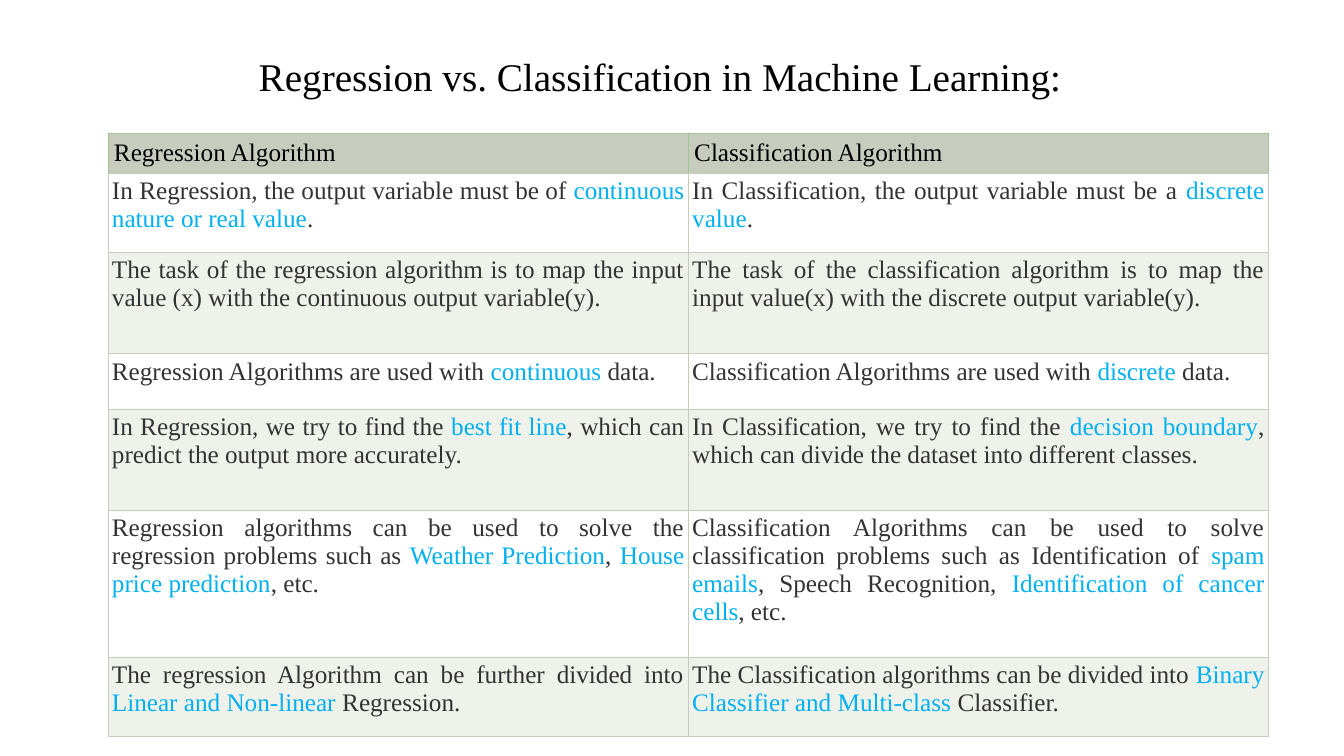
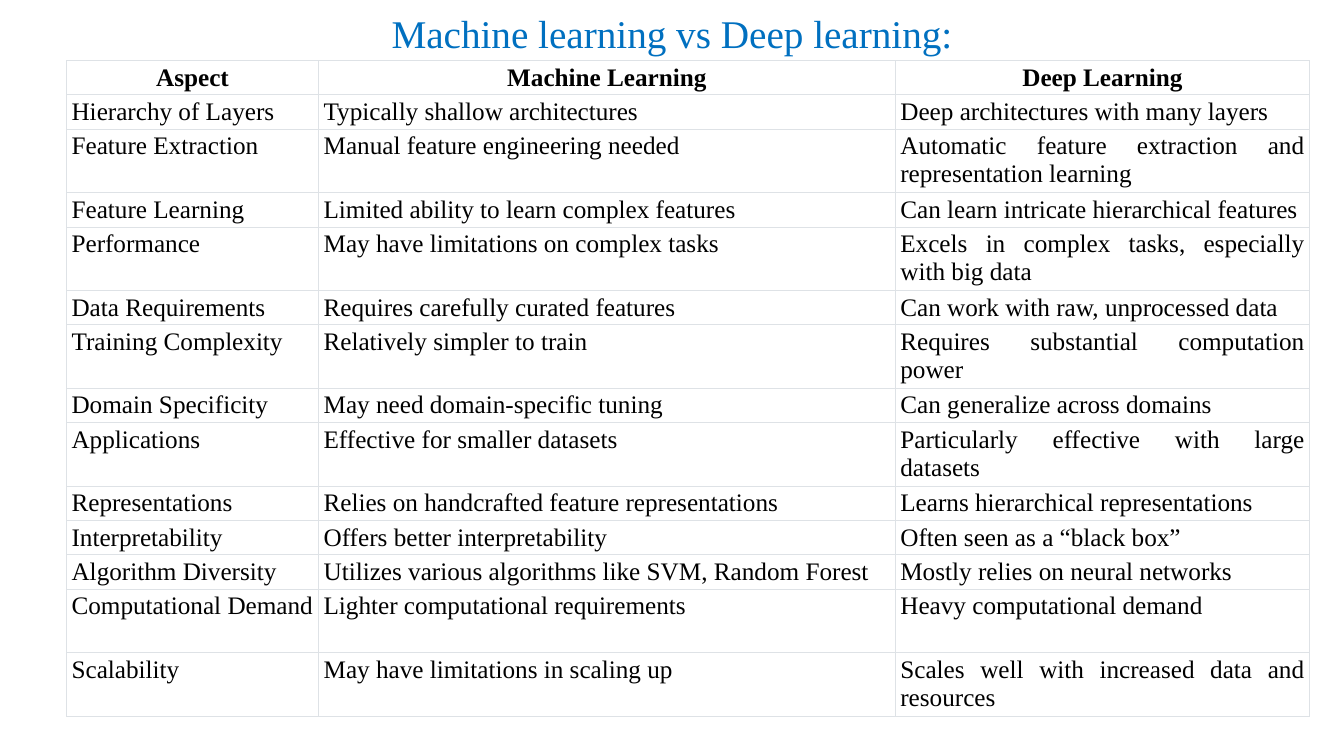
from dataclasses import dataclass
from lxml.etree import SubElement
from pptx import Presentation
from pptx.dml.color import RGBColor
from pptx.enum.text import MSO_ANCHOR, MSO_AUTO_SIZE, PP_ALIGN
from pptx.oxml.ns import qn
from pptx.util import Inches, Pt

WIDE, HIGH = Inches(13.33), Inches(7.5)
FONT = "Times New Roman"
INK = {
    "black": "000000", "text": "333333", "mark": "00B0F0", "blue": "0070C0",
    "white": "FFFFFF", "sage": "C7CCBE", "pale": "EFF1EB",
    "green": "A0C693", "grey": "DEE2E6",
}


# Places are percentages of the slide's width and height
@dataclass(frozen=True)
class Box:
    left: float
    top: float
    width: float
    height: float


@dataclass(frozen=True)
class Title:
    text: str
    box: Box
    ink: str
    space: float


@dataclass(frozen=True)
class Look:
    fill: str
    ink: str
    edge: str
    pad: tuple[float, float]  # inches: sides, top and bottom
    align: PP_ALIGN = PP_ALIGN.JUSTIFY
    anchor: MSO_ANCHOR = MSO_ANCHOR.TOP
    bold: bool = False


@dataclass(frozen=True)
class Row:
    height: float
    cells: tuple[str, ...]  # *stars* enclose marked words


@dataclass(frozen=True)
class Grid:
    box: Box
    cols: tuple[float, ...]  # relative widths
    rows: list[Row]
    head: Look
    bands: tuple[Look, ...]
    edge: str


def across(share: float) -> int:
    return round(WIDE * share / 100)


def down(share: float) -> int:
    return round(HIGH * share / 100)


def place(box: Box) -> tuple[int, int, int, int]:
    return across(box.left), down(box.top), across(box.width), down(box.height)


def add_run(para, text: str, size: float, ink: str, bold: bool = False) -> None:
    run = para.add_run()
    run.text = text
    font = run.font
    font.name, font.size, font.bold = FONT, Pt(size), bold
    font.color.rgb = RGBColor.from_string(INK[ink])


def add_title(slide, title: Title) -> None:
    shape = slide.shapes.title
    shape.left, shape.top, shape.width, shape.height = place(title.box)
    frame = shape.text_frame
    frame.word_wrap = True
    frame.auto_size = MSO_AUTO_SIZE.NONE
    frame.vertical_anchor = MSO_ANCHOR.BOTTOM
    para = frame.paragraphs[0]
    para.alignment, para.line_spacing = PP_ALIGN.CENTER, title.space
    add_run(para, title.text, 28, title.ink)


def add_edges(cell, inks: dict[str, str]) -> None:
    props = cell._tc.get_or_add_tcPr()
    for side, ink in inks.items():
        line = SubElement(props, qn(f"a:ln{side}"), w=str(Pt(0.6)))
        fill = SubElement(line, qn("a:solidFill"))
        SubElement(fill, qn("a:srgbClr"), val=INK[ink])


def fill_cell(cell, text: str, look: Look, base: str) -> None:
    add_edges(cell, {"L": look.edge, "R": look.edge, "T": look.edge, "B": base})
    cell.fill.solid()
    cell.fill.fore_color.rgb = RGBColor.from_string(INK[look.fill])
    cell.margin_left = cell.margin_right = Inches(look.pad[0])
    cell.margin_top = cell.margin_bottom = Inches(look.pad[1])
    cell.vertical_anchor = look.anchor
    para = cell.text_frame.paragraphs[0]
    para.alignment = look.align
    for n, part in enumerate(text.split("*")):
        if part:
            add_run(para, part, 18, "mark" if n % 2 else look.ink, look.bold)


def add_grid(slide, grid: Grid) -> None:
    frame = slide.shapes.add_table(len(grid.rows), len(grid.cols), *place(grid.box))
    table = frame.table
    table.first_row = table.horz_banding = False
    for col, share in zip(table.columns, grid.cols):
        col.width = across(grid.box.width * share / sum(grid.cols))
    for r, row in enumerate(grid.rows):
        table.rows[r].height = down(row.height)
        look = grid.bands[(r - 1) % len(grid.bands)] if r else grid.head
        for c, text in enumerate(row.cells):
            fill_cell(table.cell(r, c), text, look, grid.edge)


def lined(count: int, *cells: str) -> Row:
    return Row(0.67 + 3.87 * count, cells)


# Regression and classification
TASKS = Grid(
    Box(8.03, 17.6, 86.35, 79.8), (1, 1),
    [
        Row(5.33, ("Regression Algorithm", "Classification Algorithm")),
        Row(10.4, (
            "In Regression, the output variable must be of *continuous nature or real value*.",
            "In Classification, the output variable must be a *discrete value*.")),
        Row(13.45, (
            "The task of the regression algorithm is to map the input value (x) "
            "with the continuous output variable(y).",
            "The task of the classification algorithm is to map the input value(x) "
            "with the discrete output variable(y).")),
        Row(7.33, (
            "Regression Algorithms are used with *continuous* data.",
            "Classification Algorithms are used with *discrete* data.")),
        Row(13.4, (
            "In Regression, we try to find the *best fit line*, "
            "which can predict the output more accurately.",
            "In Classification, we try to find the *decision boundary*, "
            "which can divide the dataset into different classes.")),
        Row(19.45, (
            "Regression algorithms can be used to solve the regression problems such as "
            "*Weather Prediction*, *House price prediction*, etc.",
            "Classification Algorithms can be used to solve classification problems such as "
            "Identification of *spam emails*, Speech Recognition, "
            "*Identification of cancer cells*, etc.")),
        Row(10.4, (
            "The regression Algorithm can be further divided into "
            "*Linear and Non-linear *Regression.",
            "The Classification algorithms can be divided into "
            "*Binary Classifier and Multi-class *Classifier.")),
    ],
    Look("sage", "black", "green", (0.06, 0.06), PP_ALIGN.LEFT),
    tuple(Look(fill, "text", "sage", (0.04, 0.04)) for fill in ("white", "pale")),
    "sage",
)

# Machine learning and deep learning
FIELDS = Grid(
    Box(4.95, 8, 92.5, 86.6), (2.5, 5.72, 4.11),
    [
        lined(1, "Aspect", "Machine Learning", "Deep Learning"),
        lined(1, "Hierarchy of Layers", "Typically shallow architectures",
              "Deep architectures with many layers"),
        lined(2, "Feature Extraction", "Manual feature engineering needed",
              "Automatic feature extraction and representation learning"),
        lined(1, "Feature Learning", "Limited ability to learn complex features",
              "Can learn intricate hierarchical features"),
        lined(2, "Performance", "May have limitations on complex tasks",
              "Excels in complex tasks, especially with big data"),
        lined(1, "Data Requirements", "Requires carefully curated features",
              "Can work with raw, unprocessed data"),
        lined(2, "Training Complexity", "Relatively simpler to train",
              "Requires substantial computation power"),
        lined(1, "Domain Specificity", "May need domain-specific tuning",
              "Can generalize across domains"),
        lined(2, "Applications", "Effective for smaller datasets",
              "Particularly effective with large datasets"),
        lined(1, "Representations", "Relies on handcrafted feature representations",
              "Learns hierarchical representations"),
        lined(1, "Interpretability", "Offers better interpretability",
              "Often seen as a “black box”"),
        lined(1, "Algorithm Diversity", "Utilizes various algorithms like SVM, Random Forest",
              "Mostly relies on neural networks"),
        lined(2, "Computational Demand", "Lighter computational requirements",
              "Heavy computational demand"),
        lined(2, "Scalability", "May have limitations in scaling up",
              "Scales well with increased data and resources"),
    ],
    Look("white", "black", "grey", (0.05, 0.03), PP_ALIGN.CENTER, MSO_ANCHOR.BOTTOM, True),
    (Look("white", "black", "grey", (0.05, 0.03)),),
    "grey",
)

PAGES = [
    (Title("Regression vs. Classification in Machine Learning:",
           Box(5.93, 4.53, 86.35, 9.33), "black", 0.9), TASKS),
    (Title("Machine learning vs Deep learning:",
           Box(8.1, 2.27, 83.8, 5.87), "blue", 1.5), FIELDS),
]


def main() -> None:
    deck = Presentation()
    deck.slide_width, deck.slide_height = WIDE, HIGH
    for title, grid in PAGES:
        slide = deck.slides.add_slide(deck.slide_layouts[5])
        add_title(slide, title)
        add_grid(slide, grid)
    deck.save("out.pptx")


if __name__ == "__main__":
    main()
